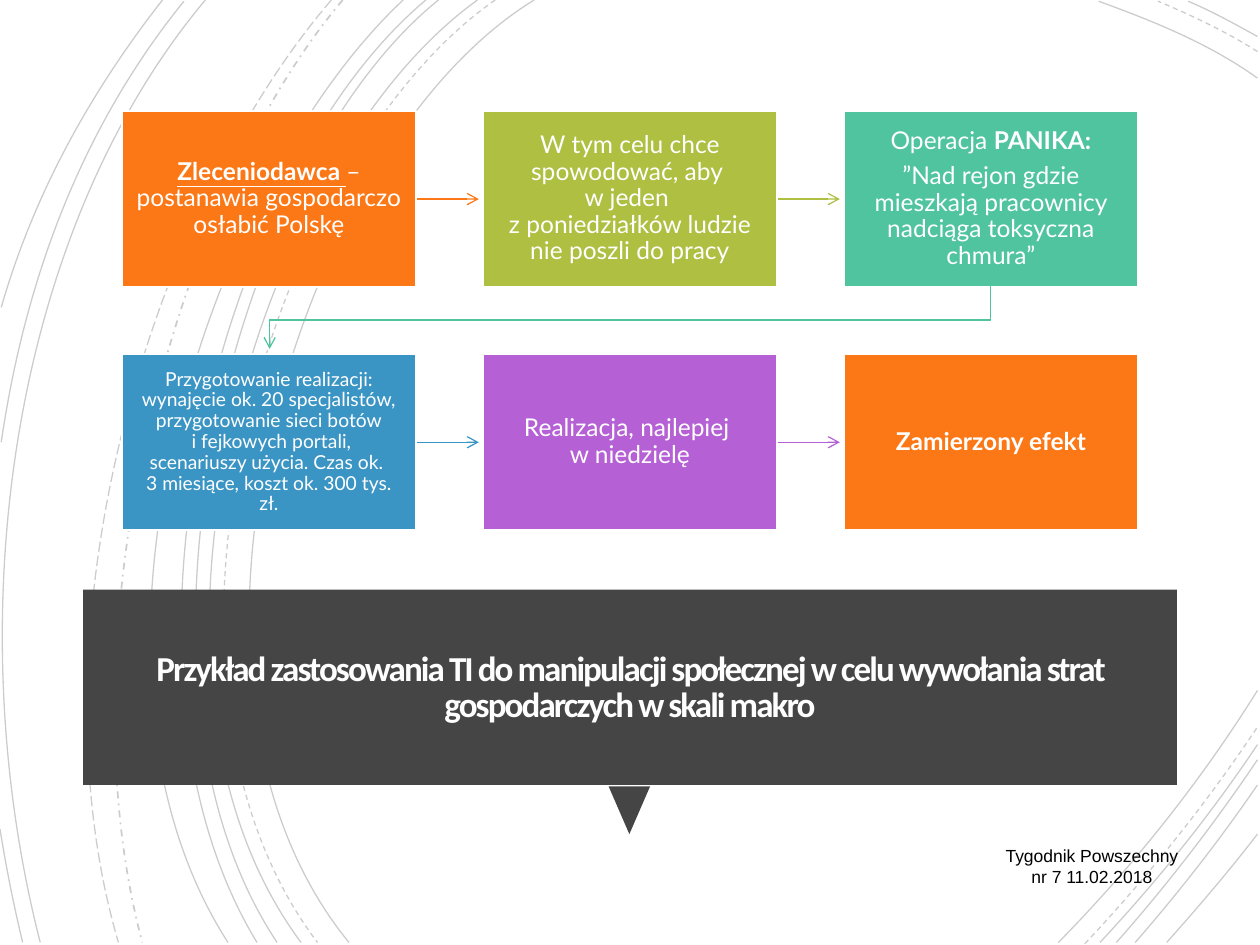
from lxml.etree import SubElement
from pptx import Presentation
from pptx.dml.color import RGBColor
from pptx.enum.dml import MSO_LINE
from pptx.enum.shapes import MSO_CONNECTOR, MSO_SHAPE
from pptx.enum.text import MSO_ANCHOR, MSO_AUTO_SIZE, PP_ALIGN
from pptx.oxml.ns import qn
from pptx.util import Inches, Pt

BLACK = RGBColor(0x00, 0x00, 0x00)
WHITE = RGBColor(0xFF, 0xFF, 0xFF)
TITLE_WHITE = RGBColor(0xFF, 0xFE, 0xFF)
CHARCOAL = RGBColor(0x45, 0x45, 0x45)
ORANGE = RGBColor(0xFC, 0x77, 0x15)
OLIVE = RGBColor(0xAF, 0xBF, 0x41)
MINT = RGBColor(0x50, 0xC4, 0x9F)
BLUE = RGBColor(0x3B, 0x95, 0xC4)
PURPLE = RGBColor(0xB5, 0x60, 0xD4)

STEP_LEFT, STEP_TOP = 0.97, 0.88
STEP_WIDTH, STEP_HEIGHT = 2.33, 1.4
COLUMN_PITCH, ROW_PITCH = 2.865, 1.93
COLUMNS = 3

SOLID, DASH = MSO_LINE.SOLID, MSO_LINE.DASH
DASH_DOT, LONG_DASH = MSO_LINE.DASH_DOT, MSO_LINE.LONG_DASH

ARCS = [
    (SOLID, (4.24, 0), (2.36, 1.15), (1.07, 5.4), (2.77, 7.48)),
    (SOLID, (9.98, 0.62), (9.59, 0.34), (9.13, 0.16), (8.72, 0.01)),
    (SOLID, (8.4, 7.48), (8.97, 6.9), (9.52, 6.22), (9.98, 5.48)),
    (DASH, (3.93, 0), (2.13, 1.25), (0.92, 5.37), (2.52, 7.48)),
    (DASH, (9.98, 0.41), (9.73, 0.25), (9.45, 0.12), (9.19, 0.01)),
    (DASH, (8.61, 7.49), (9.09, 6.98), (9.56, 6.4), (9.98, 5.77)),
    (SOLID, (3.79, 0), (2.02, 1.27), (0.82, 5.37), (2.39, 7.48)),
    (SOLID, (9.98, 0.29), (9.8, 0.19), (9.62, 0.09), (9.43, 0.01)),
    (SOLID, (8.73, 7.48), (9.17, 7.01), (9.6, 6.48), (9.98, 5.91)),
    (SOLID, (3.48, 0), (1.83, 1.33), (0.82, 5.41), (2.2, 7.48)),
    (SOLID, (8.86, 7.48), (9.25, 7.04), (9.63, 6.55), (9.98, 6.03)),
    (SOLID, (3.38, 0), (1.73, 1.38), (0.73, 5.33), (2.04, 7.48)),
    (SOLID, (9.01, 7.48), (9.35, 7.09), (9.68, 6.67), (9.98, 6.23)),
    (SOLID, (3.2, 0), (1.63, 1.47), (0.4, 5.29), (1.81, 7.48)),
    (SOLID, (9.26, 7.48), (9.5, 7.21), (9.75, 6.92), (9.98, 6.62)),
    (DASH_DOT, (2.72, 0), (1.32, 1.66), (0.49, 5.09), (1.13, 7.48)),
    (LONG_DASH, (2.63, 0), (1.18, 1.69), (0.21, 4.99), (0.94, 7.48)),
    (SOLID, (1.63, 0), (0.08, 1.85), (-0.34, 4.9), (0.32, 7.48)),
    (SOLID, (1.46, 0.01), (0.69, 0.96), (0.21, 2.14), (0.01, 3.51)),
    (SOLID, (0, 6.58), (0.05, 6.89), (0.11, 7.19), (0.18, 7.48)),
    (SOLID, (1.29, 0), (0.75, 0.69), (0.28, 1.5), (0.01, 2.44)),
]

STEPS = [
    (ORANGE, 14, [[("Zleceniodawca ", True, True),
                   ("– postanawia gospodarczo osłabić Polskę", False, False)]]),
    (OLIVE, 14, [[("W tym celu chce spowodować, aby \nw jeden \n"
                   "z poniedziałków ludzie nie poszli do pracy", False, False)]]),
    (MINT, 14, [[("Operacja ", False, False), ("PANIKA:", True, False)],
                [("”Nad rejon gdzie mieszkają pracownicy nadciąga toksyczna chmura”",
                  False, False)]]),
    (BLUE, 11, [[("Przygotowanie realizacji: wynajęcie ok. 20 specjalistów, "
                  "przygotowanie sieci botów\n i fejkowych portali, scenariuszy użycia. "
                  "Czas ok. \n3 miesiące, koszt ok. 300 tys. zł.", False, False)]]),
    (PURPLE, 14, [[("Realizacja, najlepiej \nw niedzielę", False, False)]]),
    (ORANGE, 14, [[("Zamierzony efekt", True, False)]]),
]


def add_run(paragraph, text, font_name, size, color, bold=False, underline=False):
    for index, line in enumerate(text.split("\n")):
        if index:
            paragraph.add_line_break()
        run = paragraph.add_run()
        run.text = line
        run.font.name = font_name
        run.font.size = Pt(size)
        run.font.color.rgb = color
        run.font.bold = bold
        run.font.underline = underline
    return run


def set_frame(frame, inset_x, inset_y, anchor):
    frame.word_wrap = True
    frame.auto_size = MSO_AUTO_SIZE.NONE
    frame.margin_left = frame.margin_right = Inches(inset_x)
    frame.margin_top = frame.margin_bottom = Inches(inset_y)
    frame.vertical_anchor = anchor


def add_outline(slide, points, color):
    start, *rest = [(Inches(x), Inches(y)) for x, y in points]
    builder = slide.shapes.build_freeform(*start)
    builder.add_line_segments(rest, close=False)
    outline = builder.convert_to_shape()
    outline.shadow.inherit = False
    outline.fill.background()
    outline.line.color.rgb = color
    outline.line.width = Pt(0.75)
    return outline


def add_arc(slide, dash, points):
    arc = add_outline(slide, points, BLACK)
    arc.line.dash_style = dash
    if dash == DASH_DOT:
        arc.line.width = Pt(1)
    track = next(arc.element.iter(qn("a:path")))
    segments = track.findall(qn("a:lnTo"))
    curve = SubElement(track, qn("a:cubicBezTo"))
    for segment in segments:
        curve.append(segment[0])
        track.remove(segment)
    ink = next(arc.element.spPr.find(qn("a:ln")).iter(qn("a:srgbClr")))
    SubElement(ink, qn("a:alpha"), val="20000")


def add_arrowhead(arrow):
    SubElement(arrow.element.spPr.find(qn("a:ln")), qn("a:tailEnd"), type="arrow")


def add_arrow(slide, left, y, color):
    arrow = slide.shapes.add_connector(
        MSO_CONNECTOR.STRAIGHT, Inches(left), Inches(y), Inches(left + 0.5), Inches(y))
    arrow.line.color.rgb = color
    arrow.line.width = Pt(0.75)
    add_arrowhead(arrow)
    SubElement(arrow.element.spPr, qn("a:effectLst"))


def add_block(slide, kind, left, top, width, height, color):
    block = slide.shapes.add_shape(
        kind, Inches(left), Inches(top), Inches(width), Inches(height))
    block.shadow.inherit = False
    block.fill.solid()
    block.fill.fore_color.rgb = color
    block.line.fill.background()
    return block


def add_step(slide, left, top, color, size, paragraphs):
    step = add_block(slide, MSO_SHAPE.RECTANGLE, left, top, STEP_WIDTH, STEP_HEIGHT, color)
    step.line.color.rgb = WHITE
    step.line.width = Pt(1.25)
    frame = step.text_frame
    set_frame(frame, 0.11, 0.12, MSO_ANCHOR.MIDDLE)
    for index, runs in enumerate(paragraphs):
        paragraph = frame.add_paragraph() if index else frame.paragraphs[0]
        paragraph.alignment = PP_ALIGN.CENTER
        paragraph.line_spacing = 0.9
        paragraph.space_after = Pt(0.35 * size)
        for text, bold, underline in runs:
            add_run(paragraph, text, "Lato", size, WHITE, bold, underline)


def add_process(slide):
    for index, (color, size, paragraphs) in enumerate(STEPS):
        row, column = divmod(index, COLUMNS)
        left = STEP_LEFT + column * COLUMN_PITCH
        top = STEP_TOP + row * ROW_PITCH
        if column < COLUMNS - 1:
            add_arrow(slide, left + STEP_WIDTH, top + STEP_HEIGHT / 2, color)
        add_step(slide, left, top, color, size, paragraphs)
    turn = add_outline(slide, [(7.86, 2.27), (7.86, 2.54), (2.14, 2.54), (2.14, 2.77)], MINT)
    add_arrowhead(turn)


def add_banner(slide):
    pointer = add_block(slide, MSO_SHAPE.ISOSCELES_TRIANGLE, 4.83, 6.24, 0.33, 0.38, CHARCOAL)
    pointer.rotation = 180
    banner = add_block(slide, MSO_SHAPE.RECTANGLE, 0.66, 4.68, 8.68, 1.55, CHARCOAL)
    title = slide.shapes.title
    banner.element.addnext(title.element)
    title.left, title.top = Inches(0.73), Inches(4.78)
    title.width, title.height = Inches(8.54), Inches(1.37)
    set_frame(title.text_frame, 0.25, 0.25, MSO_ANCHOR.MIDDLE)
    paragraph = title.text_frame.paragraphs[0]
    paragraph.alignment = PP_ALIGN.CENTER
    paragraph.line_spacing = 0.85
    run = add_run(paragraph, "Przykład zastosowania TI do manipulacji społecznej w celu "
                  "wywołania strat gospodarczych w skali makro",
                  "Calibri", 20, TITLE_WHITE, True)
    run.font._element.set("spc", "-110")


def add_citation(slide):
    citation = slide.shapes.add_textbox(
        Inches(7.84), Inches(6.66), Inches(1.65), Inches(0.44))
    set_frame(citation.text_frame, 0.1, 0.05, MSO_ANCHOR.TOP)
    paragraph = citation.text_frame.paragraphs[0]
    paragraph.alignment = PP_ALIGN.CENTER
    add_run(paragraph, "Tygodnik Powszechny nr 7 11.02.2018", "Arial", 10, BLACK)


def main():
    presentation = Presentation()
    presentation.slide_width, presentation.slide_height = Inches(10), Inches(7.5)
    slide = presentation.slides.add_slide(presentation.slide_layouts[5])
    for dash, *points in ARCS:
        add_arc(slide, dash, points)
    add_banner(slide)
    add_process(slide)
    add_citation(slide)
    presentation.save("out.pptx")


if __name__ == "__main__":
    main()
